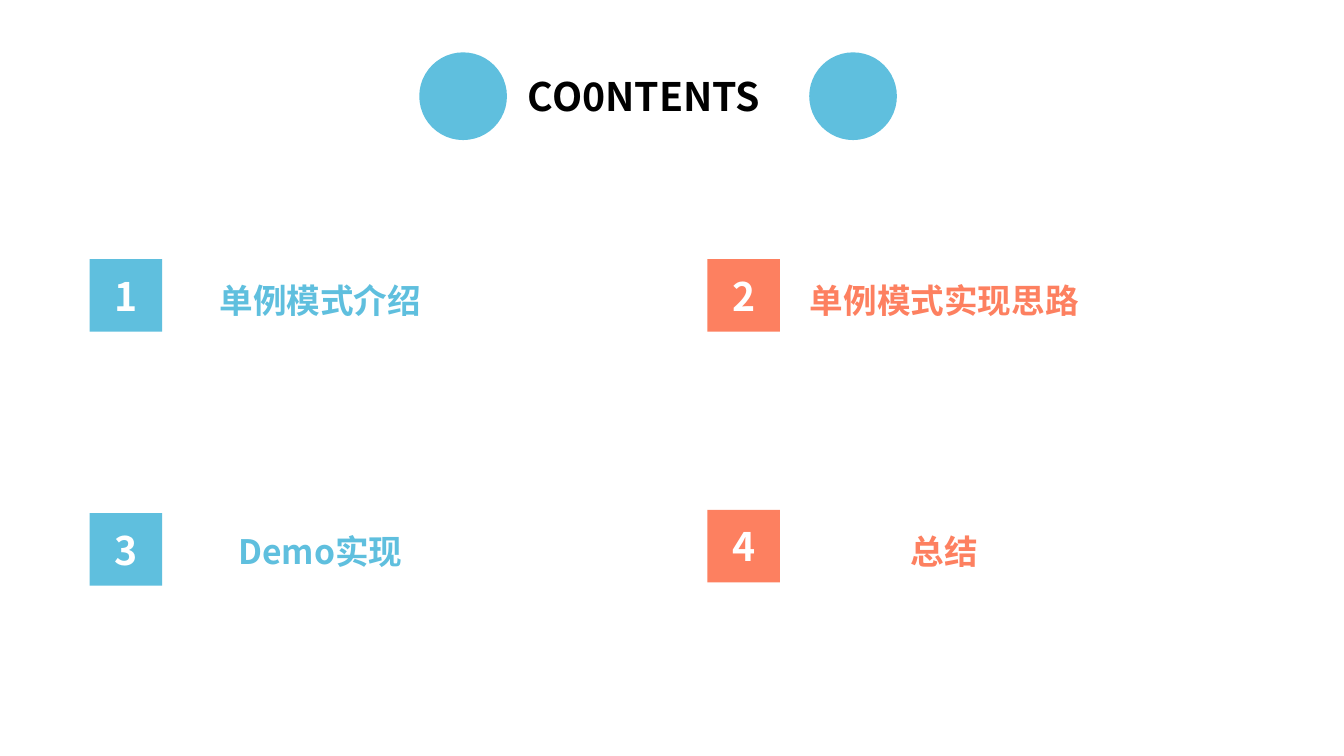
from dataclasses import dataclass

from lxml.etree import SubElement
from pptx import Presentation
from pptx.dml.color import RGBColor
from pptx.enum.shapes import MSO_SHAPE
from pptx.enum.text import MSO_ANCHOR, PP_ALIGN
from pptx.oxml.ns import qn
from pptx.util import Cm, Pt

# Content: number, label, label font, badge top, label height (cm)
TITLE = "CO0NTENTS"
SC, KR = "Noto Sans CJK SC", "Noto Sans CJK KR"
ENTRIES = [
    ("1", "单例模式介绍", KR, 6.53, 1.27),
    ("2", "单例模式实现思路", SC, 6.53, 2.29),
    ("3", "Demo实现", SC, 12.93, 1.27),
    ("4", "总结", KR, 12.85, 1.27),
]


@dataclass(frozen=True)
class Theme:
    blue: RGBColor = RGBColor(0x5F, 0xBF, 0xDE)
    coral: RGBColor = RGBColor(0xFD, 0x80, 0x60)
    black: RGBColor = RGBColor(0, 0, 0)
    white: RGBColor = RGBColor(255, 255, 255)
    heading: int = 28
    label: int = 24


THEME = Theme()

# Layout (cm): two columns of entries, filled row by row
CIRCLE_LEFTS, CIRCLE_TOP, CIRCLE_SIZE = (10.57, 20.4), 1.32, 2.21
COLUMNS = [(2.26, 4.06, THEME.blue), (17.83, 19.79, THEME.coral)]
LABEL_TOPS = (6.93, 13.26)
BADGE_SIZE, LABEL_WIDTH = 1.83, 8.03


def write(shape, text, size, font_name, color, align):
    shape.text_frame.word_wrap = True
    paragraph = shape.text_frame.paragraphs[0]
    paragraph.text = text
    paragraph.alignment = align
    font = paragraph.font
    font.size, font.bold, font.name = Pt(size), True, font_name
    font.color.rgb = color
    # East Asian characters take the same typeface
    properties = paragraph._p.pPr.find(qn("a:defRPr"))
    SubElement(properties, qn("a:ea")).set("typeface", font_name)


def add_solid(slide, kind, left, top, size, color):
    shape = slide.shapes.add_shape(kind, Cm(left), Cm(top), Cm(size), Cm(size))
    shape.shadow.inherit = False
    shape.fill.solid()
    shape.fill.fore_color.rgb = color
    shape.line.fill.background()
    return shape


def add_text(slide, left, top, width, height, *style):
    box = slide.shapes.add_textbox(Cm(left), Cm(top), Cm(width), Cm(height))
    write(box, *style)


def main():
    presentation = Presentation()
    presentation.slide_width, presentation.slide_height = Cm(33.88), Cm(19.05)
    slide = presentation.slides.add_slide(presentation.slide_layouts[6])

    # Title between two circles
    for left in CIRCLE_LEFTS:
        add_solid(slide, MSO_SHAPE.OVAL, left, CIRCLE_TOP, CIRCLE_SIZE, THEME.blue)
    add_text(slide, 13.06, 1.7, 7.75, 1.45,
             TITLE, THEME.heading, SC, THEME.black, PP_ALIGN.LEFT)

    # Numbered entries
    for index, (number, label, font_name, badge_top, height) in enumerate(ENTRIES):
        row, column = divmod(index, len(COLUMNS))
        badge_left, label_left, color = COLUMNS[column]
        badge = add_solid(slide, MSO_SHAPE.RECTANGLE, badge_left, badge_top,
                          BADGE_SIZE, color)
        badge.text_frame.vertical_anchor = MSO_ANCHOR.MIDDLE
        write(badge, number, THEME.heading, KR, THEME.white, PP_ALIGN.CENTER)
        add_text(slide, label_left, LABEL_TOPS[row], LABEL_WIDTH, height,
                 label, THEME.label, font_name, color, PP_ALIGN.CENTER)

    presentation.save("out.pptx")


if __name__ == "__main__":
    main()
